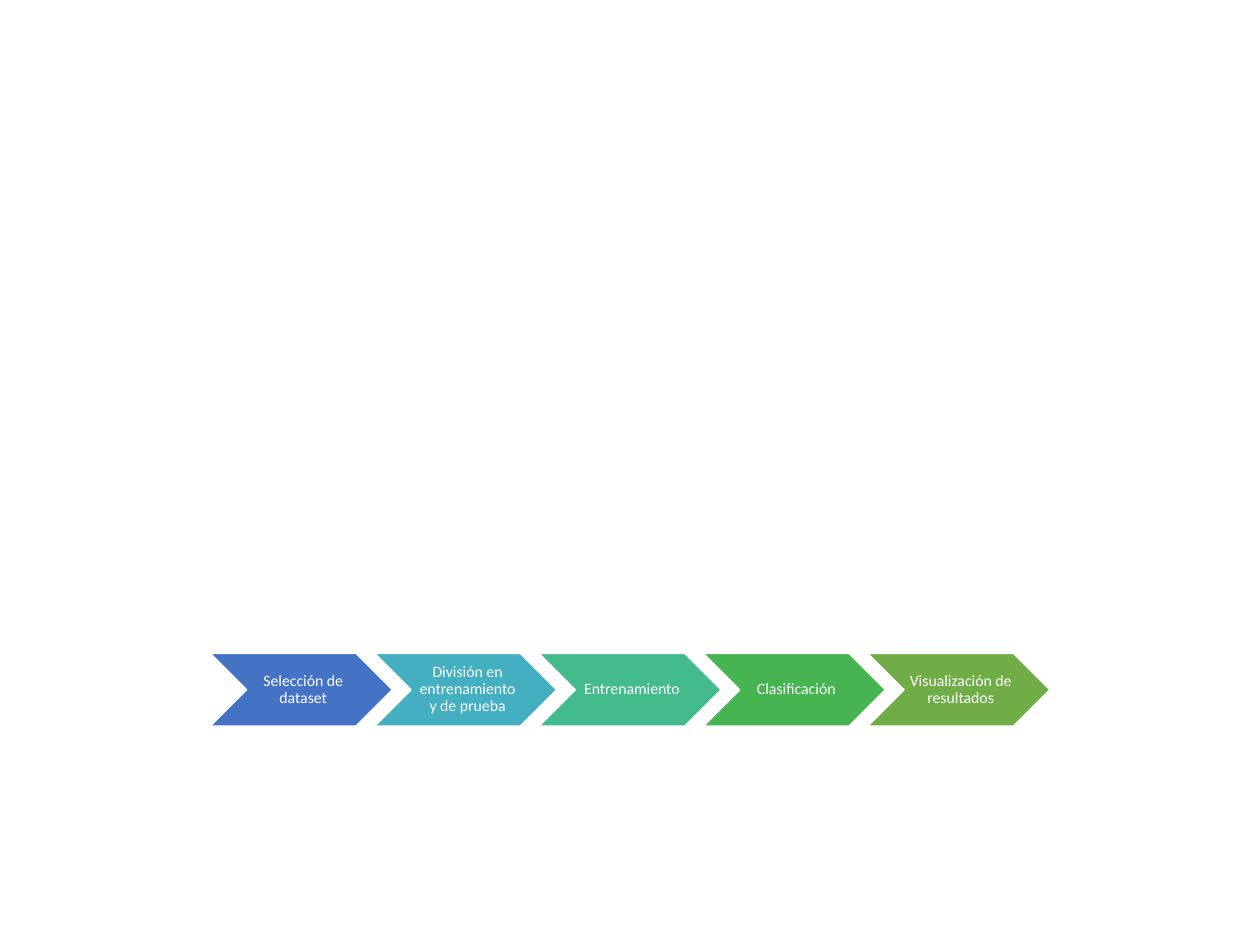
from pptx import Presentation
from pptx.dml.color import RGBColor
from pptx.enum.shapes import MSO_SHAPE
from pptx.enum.text import MSO_ANCHOR, PP_ALIGN
from pptx.util import Inches, Pt

CHEVRON = MSO_SHAPE.CHEVRON
WHITE = RGBColor(0xFF, 0xFF, 0xFF)
BLUE = RGBColor(0x44, 0x72, 0xC4)
TEAL = RGBColor(0x43, 0xAF, 0xC0)
MINT = RGBColor(0x43, 0xBB, 0x8D)
GREEN = RGBColor(0x45, 0xB4, 0x51)
OLIVE = RGBColor(0x70, 0xAD, 0x47)

STEPS = [
    ("Selección de dataset", BLUE),
    ("División en entrenamiento y de prueba", TEAL),
    ("Entrenamiento", MINT),
    ("Clasificación", GREEN),
    ("Visualización de resultados", OLIVE),
]
PITCH = 0.9   # step from one chevron to the next, as a share of its width
RATIO = 0.4   # chevron height as a share of its width

FRAME = {
    "word_wrap": True, "vertical_anchor": MSO_ANCHOR.MIDDLE,
    "margin_left": Inches(0.04), "margin_right": Inches(0.01),
    "margin_top": Inches(0.01), "margin_bottom": Inches(0.01),
}
PARA = {"alignment": PP_ALIGN.CENTER, "line_spacing": 0.9}
FONT = {"name": "Calibri", "size": Pt(9)}


def style(item, values):
    """Set each attribute of item from a dict."""
    for name, value in values.items():
        setattr(item, name, value)


def add_step(slide, box, text, color):
    """Draw one labelled chevron in the box."""
    shape = slide.shapes.add_shape(CHEVRON, *box)
    shape.shadow.inherit = False
    shape.fill.solid()
    shape.fill.fore_color.rgb = color
    shape.line.color.rgb = WHITE
    shape.line.width = Pt(1)
    frame = shape.text_frame
    style(frame, FRAME)
    para = frame.paragraphs[0]
    style(para, PARA)
    run = para.add_run()
    run.text = text
    style(run.font, FONT)
    run.font.color.rgb = WHITE


def add_flow(slide, left, mid, width, steps):
    """Spread the steps over the width, centred on the height mid."""
    wide = width / (1 + PITCH * (len(steps) - 1))
    high = wide * RATIO
    for i, (text, color) in enumerate(steps):
        box = (left + i * PITCH * wide, mid - high / 2, wide, high)
        add_step(slide, [int(n) for n in box], text, color)


def main():
    """Build and save the slide."""
    deck = Presentation()
    deck.slide_width, deck.slide_height = Inches(10), Inches(7.5)
    slide = deck.slides.add_slide(deck.slide_layouts[6])
    wide, high = deck.slide_width, deck.slide_height
    add_flow(slide, wide / 6, high * 0.73, wide * 2 / 3, STEPS)
    deck.save("out.pptx")


main()
